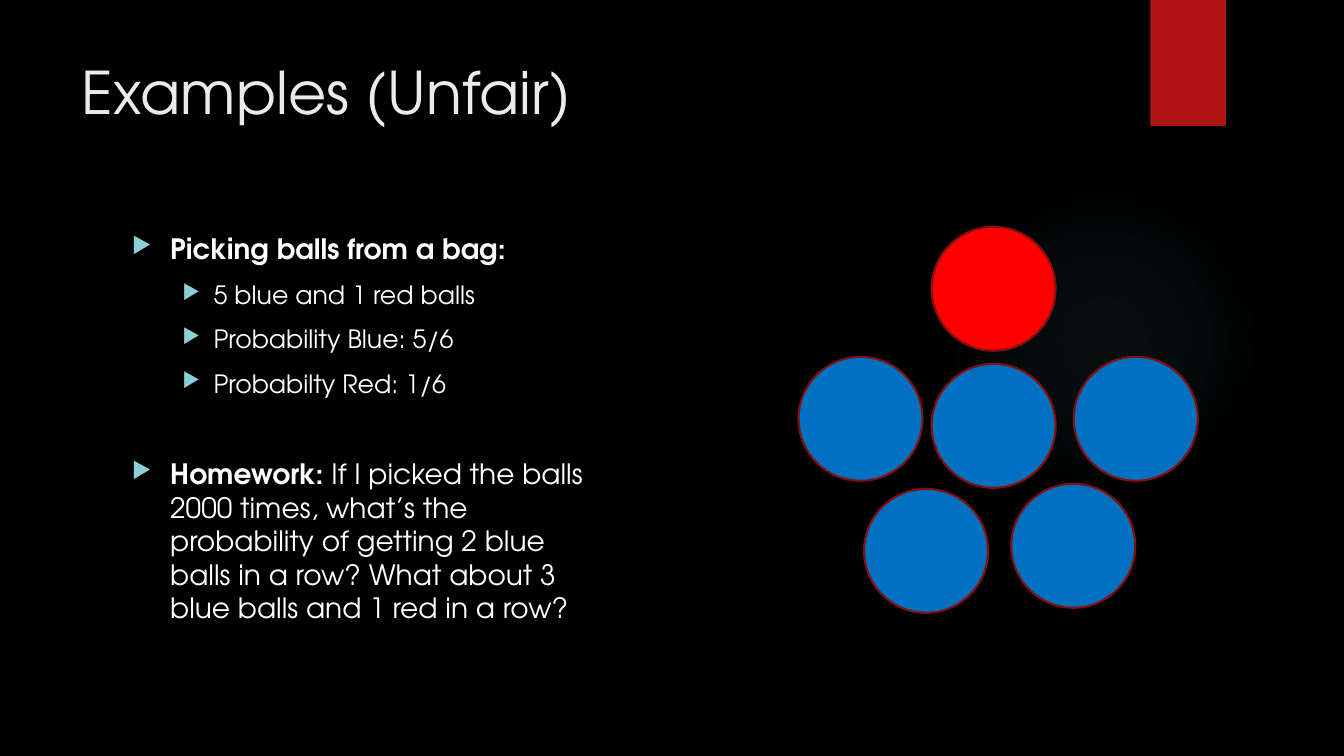
from lxml import etree
from pptx import Presentation
from pptx.dml.color import RGBColor
from pptx.enum.shapes import MSO_SHAPE
from pptx.oxml import parse_xml
from pptx.oxml.ns import qn
from pptx.util import Inches, Pt

OVAL = MSO_SHAPE.OVAL
RECTANGLE = MSO_SHAPE.RECTANGLE
FONT = "TeX Gyre Adventor"
BULLET = "8AD0D6"
BLUE = "0070C0"
RED = "FF0000"
GLOW = "50B9C1"
DRAWING = "http://schemas.openxmlformats.org/drawingml/2006/main"


def rgb(value):
    return RGBColor.from_string(value)


def add_run(paragraph, text, size, color, bold=False):
    run = paragraph.add_run()
    run.text = text
    run.font.name = FONT
    run.font.size = Pt(size)
    run.font.bold = bold
    run.font.color.rgb = rgb(color)


prs = Presentation()
prs.slide_width = Inches(13.33)
prs.slide_height = Inches(7.5)
slide = prs.slides.add_slide(prs.slide_layouts[6])
slide.background.fill.solid()
slide.background.fill.fore_color.rgb = rgb("000000")

glow = slide.shapes.add_shape(OVAL, Inches(9.41), Inches(1.83), Inches(3.08), Inches(3.08))
glow.shadow.inherit = False
glow.line.fill.background()
stops = "".join(
    f'<a:gs pos="{position * 1000}"><a:srgbClr val="{GLOW}">'
    f'<a:alpha val="{alpha * 1000}"/></a:srgbClr></a:gs>'
    for position, alpha in [(0, 7), (36, 6), (69, 0)]
)
glow_fill = parse_xml(
    f'<a:gradFill xmlns:a="{DRAWING}"><a:gsLst>{stops}</a:gsLst><a:path path="circle">'
    '<a:fillToRect l="50000" t="50000" r="50000" b="50000"/></a:path></a:gradFill>'
)
glow.element.spPr.find(qn("a:prstGeom")).addnext(glow_fill)

ribbon = slide.shapes.add_shape(RECTANGLE, Inches(11.41), 0, Inches(0.75), Inches(1.25))
ribbon.shadow.inherit = False
ribbon.fill.solid()
ribbon.fill.fore_color.rgb = rgb("B01513")
ribbon.line.fill.background()

title = slide.shapes.add_textbox(Inches(0.71), Inches(0.5), Inches(10.29), Inches(1.53))
title.text_frame.word_wrap = True
add_run(title.text_frame.paragraphs[0], "Examples (Unfair)", 42, "EBEBEB")

body = slide.shapes.add_textbox(Inches(1.21), Inches(2.25), Inches(4.81), Inches(4.59))
body.text_frame.word_wrap = True
homework = (
    "If I picked the balls 2000 times, what’s the probability of getting 2 blue "
    "balls in a row? What about 3 blue balls and 1 red in a row?"
)
points = [
    (0, 10, [("Picking balls from a bag:", True)]),
    (1, 10, [("5 blue and 1 red balls", False)]),
    (1, 10, [("Probability Blue: 5/6", False)]),
    (1, 10, [("Probabilty Red: 1/6", False)]),
    (0, 41.6, [("Homework: ", True), (homework, False)]),
]
level_styles = [(20, 0.38, 0.38), (18, 0.81, 0.31)]
for index, (level, space_before, runs) in enumerate(points):
    paragraph = body.text_frame.add_paragraph() if index else body.text_frame.paragraphs[0]
    paragraph.level = level
    paragraph.space_before = Pt(space_before)
    size, margin, hanging = level_styles[level]
    properties = paragraph._p.get_or_add_pPr()
    properties.set("marL", str(Inches(margin)))
    properties.set("indent", str(-Inches(hanging)))
    bullet_color = etree.SubElement(properties, qn("a:buClr"))
    etree.SubElement(bullet_color, qn("a:srgbClr"), val=BULLET)
    etree.SubElement(properties, qn("a:buSzPct"), val="80000")
    etree.SubElement(properties, qn("a:buChar"), char="▶")
    for text, bold in runs:
        add_run(paragraph, text, size, "FFFFFF", bold)

balls = [
    (9.24, 2.25, RED),
    (7.92, 3.54, BLUE),
    (9.24, 3.61, BLUE),
    (10.65, 3.54, BLUE),
    (8.57, 4.85, BLUE),
    (10.03, 4.8, BLUE),
]
diameter = Inches(1.23)
for left, top, color in balls:
    ball = slide.shapes.add_shape(OVAL, Inches(left), Inches(top), diameter, diameter)
    ball.shadow.inherit = False
    ball.fill.solid()
    ball.fill.fore_color.rgb = rgb(color)
    ball.line.color.rgb = rgb("82100E")
    ball.line.width = Pt(1.5)

prs.save("out.pptx")
